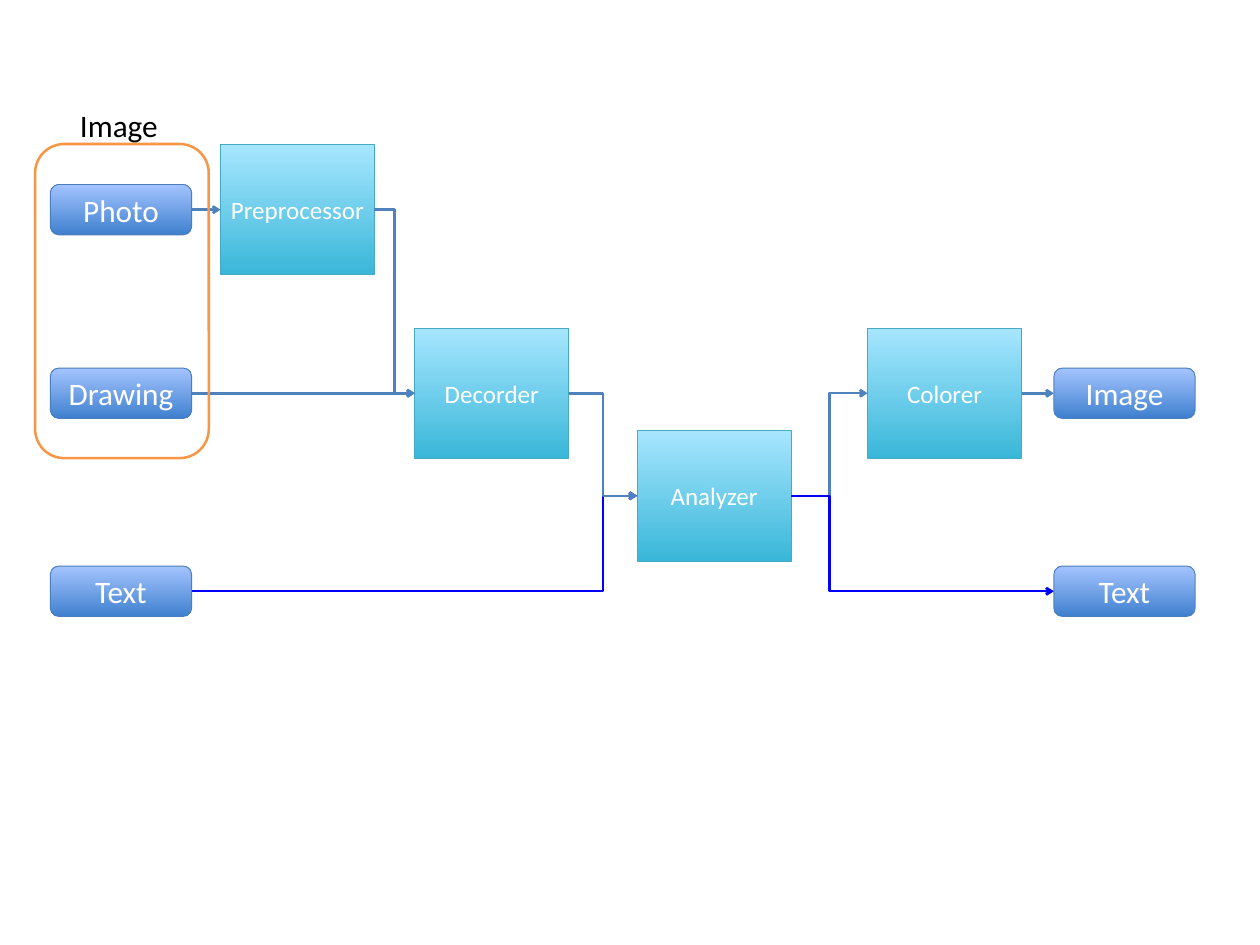
from pptx import Presentation
from pptx.dml.color import RGBColor
from pptx.enum.shapes import MSO_CONNECTOR, MSO_SHAPE
from pptx.enum.text import MSO_ANCHOR, PP_ALIGN
from pptx.oxml.ns import qn
from pptx.util import Inches, Pt
from lxml import etree

RECTANGLE, ROUNDED = MSO_SHAPE.RECTANGLE, MSO_SHAPE.ROUNDED_RECTANGLE
STRAIGHT, ELBOW = MSO_CONNECTOR.STRAIGHT, MSO_CONNECTOR.ELBOW
MIDDLE, CENTER, LEFT = MSO_ANCHOR.MIDDLE, PP_ALIGN.CENTER, PP_ALIGN.LEFT

FONT = "Calibri"
COLORS = {
    "stage_bottom": "39B7D8", "stage_top": "A7E6FF", "stage_line": "46AAC5",
    "data_bottom": "3F80CE", "data_top": "A4C4FF", "data_line": "4B7EBC",
    "image_flow": "4F81BD", "text_flow": "0000FF", "group": "F79646",
    "white": "FFFFFF", "black": "000000",
}

STAGE_SIZE = (1.71, 1.45)
DATA_SIZE = (1.57, 0.56)
INPUT_X, OUTPUT_X = 0.56, 11.71
PHOTO_Y, DRAWING_Y, ANALYZER_Y, TEXT_Y = 2.33, 4.37, 5.51, 6.57

# Name: left edge, vertical centre
STAGES = {
    "Preprocessor": (2.45, PHOTO_Y),
    "Decorder": (4.61, DRAWING_Y),
    "Analyzer": (7.08, ANALYZER_Y),
    "Colorer": (9.64, DRAWING_Y),
}
# Label, left edge, vertical centre
DATA_ITEMS = [
    ("Photo", INPUT_X, PHOTO_Y),
    ("Drawing", INPUT_X, DRAWING_Y),
    ("Text", INPUT_X, TEXT_Y),
    ("Image", OUTPUT_X, DRAWING_Y),
    ("Text", OUTPUT_X, TEXT_Y),
]


def rgb(name):
    return RGBColor.from_string(COLORS[name])


def set_line(shape, color, width):
    shape.line.color.rgb = rgb(color)
    shape.line.width = Pt(width)


def set_text(shape, text, size, color, align):
    para = shape.text_frame.paragraphs[0]
    para.text = text
    para.alignment = align
    font = para.runs[0].font
    font.name, font.size = FONT, Pt(size)
    font.color.rgb = rgb(color)


def add_box(slide, kind, text, left, center_y, size, style, text_size):
    width, height = size
    box = slide.shapes.add_shape(kind, Inches(left), Inches(center_y - height / 2),
                                 Inches(width), Inches(height))
    box.shadow.inherit = False
    box.fill.gradient()
    box.fill.gradient_angle = 90
    for stop, end in zip(box.fill.gradient_stops, ("bottom", "top")):
        stop.color.rgb = rgb(f"{style}_{end}")
    set_line(box, f"{style}_line", 0.75)
    box.text_frame.word_wrap = True
    box.text_frame.vertical_anchor = MIDDLE
    set_text(box, text, text_size, "white", CENTER)


def add_arrow(slide, start, end, color, bend_x=None):
    (x1, y1), (x2, y2) = start, end
    kind = STRAIGHT if y1 == y2 else ELBOW
    arrow = slide.shapes.add_connector(kind, Inches(x1), Inches(y1), Inches(x2), Inches(y2))
    set_line(arrow, color, 2)
    properties = arrow.element.spPr
    # Place the bend as a share of the connector's width
    if bend_x is not None:
        guides = properties.find(qn("a:prstGeom")).get_or_add_avLst()
        share = round((bend_x - x1) / (x2 - x1) * 100000)
        etree.SubElement(guides, qn("a:gd"), name="adj1", fmla=f"val {share}")
    etree.SubElement(properties.find(qn("a:ln")), qn("a:tailEnd"), type="arrow")
    etree.SubElement(properties, qn("a:effectLst"))


def add_group_frame(slide):
    frame = slide.shapes.add_shape(ROUNDED, Inches(0.39), Inches(1.6), Inches(1.93), Inches(3.49))
    frame.shadow.inherit = False
    frame.fill.background()
    set_line(frame, "group", 2)
    label = slide.shapes.add_textbox(Inches(0.79), Inches(1.13), Inches(1.08), Inches(0.52))
    label.text_frame.word_wrap = False
    set_text(label, "Image", 25, "black", LEFT)


def add_flows(slide):
    entry = STAGES
    leave = {name: (left + STAGE_SIZE[0], y) for name, (left, y) in STAGES.items()}
    photo, drawing, text = [(INPUT_X + DATA_SIZE[0], y) for y in (PHOTO_Y, DRAWING_Y, TEXT_Y)]
    image_out, text_out = (OUTPUT_X, DRAWING_Y), (OUTPUT_X, TEXT_Y)
    # Flows that meet at the analyzer share their bends
    merge_x = (leave["Decorder"][0] + entry["Analyzer"][0]) / 2
    split_x = (leave["Analyzer"][0] + entry["Colorer"][0]) / 2

    add_arrow(slide, leave["Analyzer"], entry["Colorer"], "image_flow", split_x)
    add_arrow(slide, text, entry["Analyzer"], "text_flow", merge_x)
    add_arrow(slide, leave["Decorder"], entry["Analyzer"], "image_flow", merge_x)
    add_arrow(slide, photo, entry["Preprocessor"], "image_flow")
    add_arrow(slide, leave["Colorer"], image_out, "image_flow")
    add_arrow(slide, leave["Analyzer"], text_out, "text_flow", split_x)
    add_arrow(slide, leave["Preprocessor"], entry["Decorder"], "image_flow")
    add_arrow(slide, drawing, entry["Decorder"], "image_flow")


def main():
    deck = Presentation()
    deck.slide_width, deck.slide_height = Inches(14), Inches(10.5)
    slide = deck.slides.add_slide(deck.slide_layouts[6])

    # Processing stages, flows, inputs and outputs
    for name, (left, center_y) in STAGES.items():
        add_box(slide, RECTANGLE, name, left, center_y, STAGE_SIZE, "stage", 20)
    add_flows(slide)
    for label, left, center_y in DATA_ITEMS:
        add_box(slide, ROUNDED, label, left, center_y, DATA_SIZE, "data", 25)

    # Frame around the image inputs
    add_group_frame(slide)
    deck.save("out.pptx")


main()
